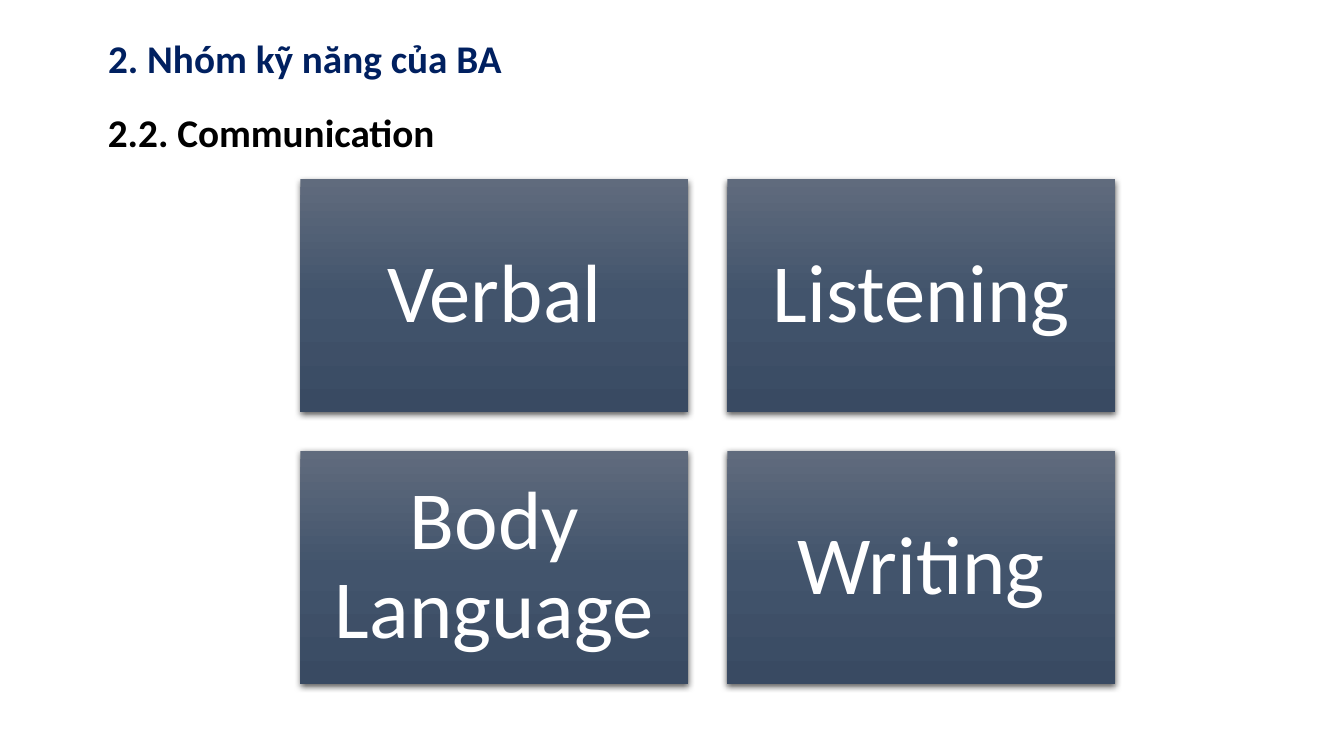
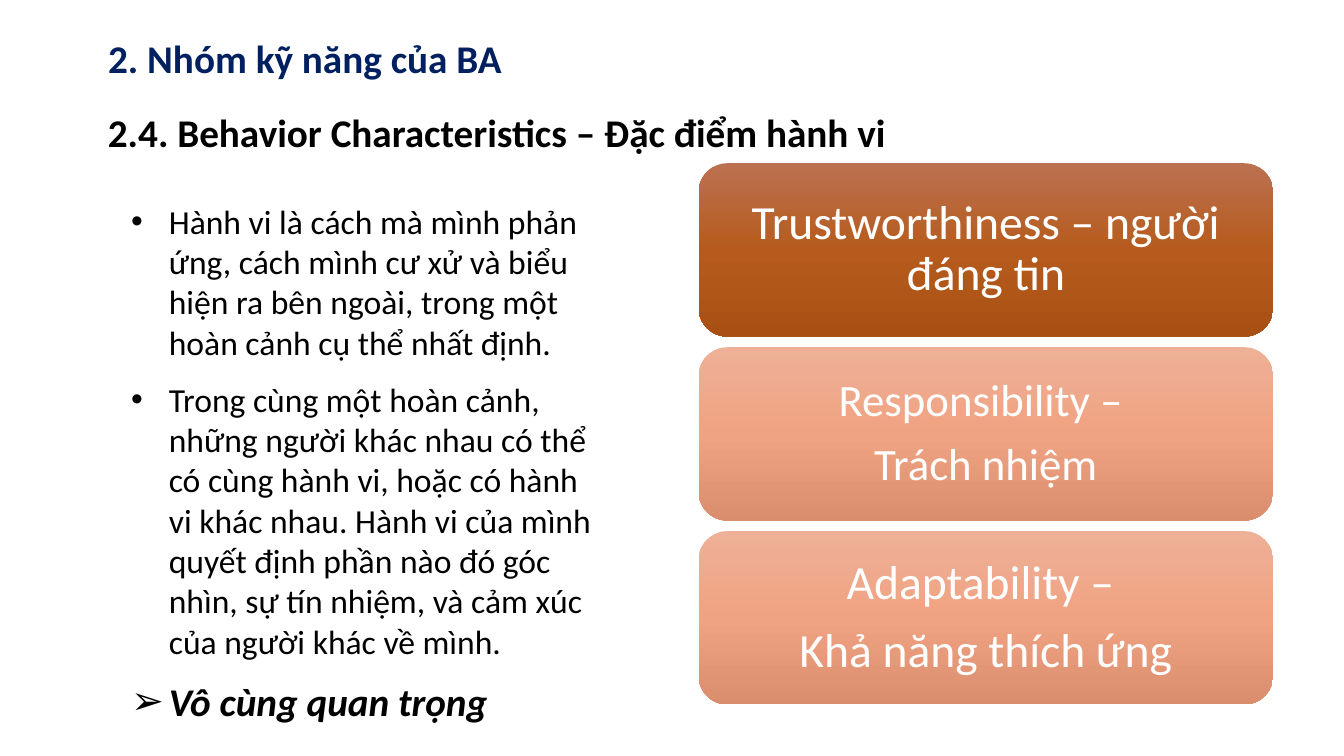
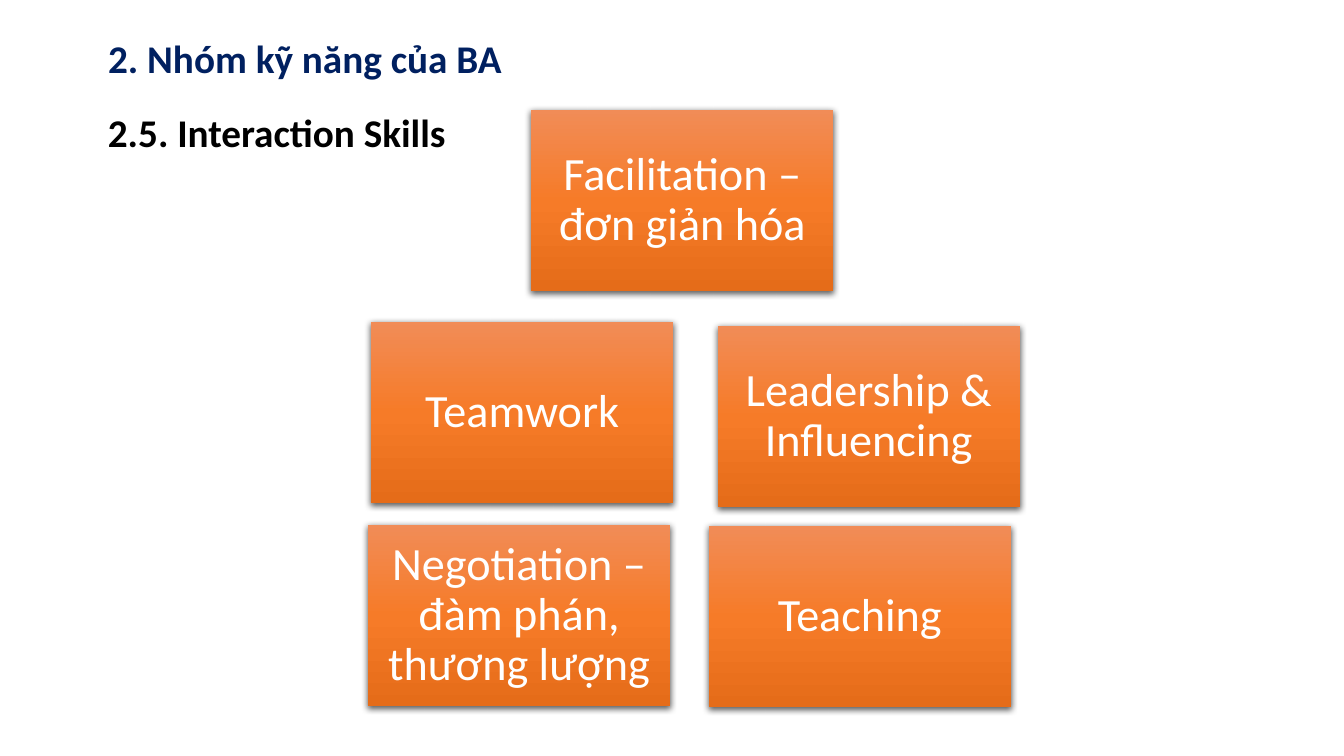
"""Build three slides on the skill groups of a business analyst."""
from copy import deepcopy
from dataclasses import dataclass

from lxml import etree
from pptx import Presentation
from pptx.dml.color import RGBColor
from pptx.enum.shapes import MSO_SHAPE
from pptx.enum.text import MSO_ANCHOR, MSO_AUTO_SIZE, PP_ALIGN
from pptx.oxml.ns import qn
from pptx.presentation import Presentation as Deck
from pptx.slide import Slide
from pptx.util import Pt

RECTANGLE = MSO_SHAPE.RECTANGLE
ROUNDED = MSO_SHAPE.ROUNDED_RECTANGLE
TOP, MIDDLE = MSO_ANCHOR.TOP, MSO_ANCHOR.MIDDLE
LEFT, CENTER = PP_ALIGN.LEFT, PP_ALIGN.CENTER
GROW = MSO_AUTO_SIZE.SHAPE_TO_FIT_TEXT
LIST_LAYOUT, TITLE_LAYOUT = 1, 5


@dataclass(frozen=True)
class Theme:
    """Fonts, type sizes, colours and gradients of the deck."""
    font: str = "Calibri"
    heading_size: float = 28
    list_size: float = 24
    navy: str = "002060"
    black: str = "000000"
    white: str = "FFFFFF"
    slate: tuple[str, ...] = ("606B7D", "42546C", "394A62")
    rust: tuple[str, ...] = ("BB7150", "B65B1D", "A85014")
    peach: tuple[str, ...] = ("EEB097", "F0A382", "DB8E6E")
    orange: tuple[str, ...] = ("F18C57", "F67B28", "E56C19")


THEME = Theme()


@dataclass(frozen=True)
class Frame:
    """A rectangle in points."""
    left: float
    top: float
    width: float
    height: float


@dataclass(frozen=True)
class Card:
    """A gradient card with centred lines of text."""
    lines: tuple[str, ...]
    frame: Frame
    colours: tuple[str, ...]
    size: float
    inset: float = 10
    outline: MSO_SHAPE = RECTANGLE
    raised: bool = True


@dataclass(frozen=True)
class Bullet:
    """One list item with its marker."""
    text: str
    marker: str = "•"
    size: float = THEME.list_size
    strong: bool = False


TITLE_FRAME = Frame(70, 21, 463, 41)
SUBTITLE_FRAME = Frame(70, 73.5, 726.5, 41)
LIST_FRAME = Frame(86.4, 139.7, 348.5, 420.5)

BEHAVIOURS = (
    Bullet("Hành vi là cách mà mình phản ứng, cách mình cư xử và biểu hiện ra "
           "bên ngoài, trong một hoàn cảnh cụ thể nhất định."),
    Bullet("Trong cùng một hoàn cảnh, những người khác nhau có thể có cùng "
           "hành vi, hoặc có hành vi khác nhau. Hành vi của mình quyết định "
           "phần nào đó góc nhìn, sự tín nhiệm, và cảm xúc của người khác về mình."),
    Bullet("Vô cùng quan trọng", "➢", THEME.heading_size, True),
)


def place(shape, frame: Frame) -> None:
    """Move and size a shape."""
    shape.left, shape.top = Pt(frame.left), Pt(frame.top)
    shape.width, shape.height = Pt(frame.width), Pt(frame.height)


def add_span(para, text: str, size: float, colour: str,
             bold: bool = False, italic: bool = False) -> None:
    """Add one formatted run to a paragraph."""
    span = para.add_run()
    span.text = text
    font = span.font
    font.name, font.size = THEME.font, Pt(size)
    font.bold, font.italic = bold, italic
    font.color.rgb = RGBColor.from_string(colour)


def paragraphs(box, count: int) -> list:
    """Return the given number of paragraphs of an empty text frame."""
    return [box.paragraphs[0]] + [box.add_paragraph() for _ in range(count - 1)]


def write_heading(shape, text: str, frame: Frame, colour: str) -> None:
    """Place a bold heading line."""
    place(shape, frame)
    box = shape.text_frame
    box.word_wrap, box.auto_size, box.vertical_anchor = True, GROW, TOP
    para = box.paragraphs[0]
    para.alignment = LEFT
    add_span(para, text, THEME.heading_size, colour, bold=True)


def start_page(deck: Deck, subtitle: str, layout: int = TITLE_LAYOUT) -> Slide:
    """Add a slide with the shared title and its own subtitle."""
    page = deck.slides.add_slide(deck.slide_layouts[layout])
    write_heading(page.shapes.title, "2. Nhóm kỹ năng của BA", TITLE_FRAME, THEME.navy)
    write_heading(page.shapes.add_textbox(0, 0, 0, 0), subtitle, SUBTITLE_FRAME, THEME.black)
    return page


def fill_gradient(shape, colours: tuple[str, ...]) -> None:
    """Fill a shape from top to bottom with evenly spaced colours."""
    fill = shape.fill
    fill.gradient()
    fill.gradient_angle = 270
    stop_list = shape.element.find(".//" + qn("a:gsLst"))
    while len(stop_list) < len(colours):
        stop_list.append(deepcopy(stop_list[-1]))
    for index, (stop, colour) in enumerate(zip(fill.gradient_stops, colours)):
        stop.position = index / (len(colours) - 1)
        stop.color.rgb = RGBColor.from_string(colour)


def add_shadow(shape) -> None:
    """Give a shape a soft shadow below."""
    effects = shape.element.find(".//" + qn("a:effectLst"))
    shadow = etree.SubElement(effects, qn("a:outerShdw"), blurRad=str(Pt(4.5)),
                              dist=str(Pt(1.5)), dir="5400000", algn="ctr", rotWithShape="0")
    colour = etree.SubElement(shadow, qn("a:srgbClr"), val=THEME.black)
    etree.SubElement(colour, qn("a:alpha"), val="63000")


def draw_card(page: Slide, card: Card) -> None:
    """Draw one card with its text."""
    shape = page.shapes.add_shape(card.outline, 0, 0, 0, 0)
    place(shape, card.frame)
    fill_gradient(shape, card.colours)
    shape.line.fill.background()
    shape.shadow.inherit = False
    if card.raised:
        add_shadow(shape)
    box = shape.text_frame
    box.word_wrap, box.vertical_anchor = True, MIDDLE
    box.margin_left = box.margin_right = Pt(card.inset)
    box.margin_top = box.margin_bottom = Pt(card.inset)
    for para, line in zip(paragraphs(box, len(card.lines)), card.lines):
        para.alignment, para.line_spacing = CENTER, 0.9
        para.space_after = Pt(0.35 * card.size)
        add_span(para, line, card.size, THEME.white)


def write_list(shape, bullets: tuple[Bullet, ...]) -> None:
    """Fill the body placeholder with bullets."""
    place(shape, LIST_FRAME)
    box = shape.text_frame
    box.word_wrap, box.auto_size = True, GROW
    for para, bullet in zip(paragraphs(box, len(bullets)), bullets):
        para.space_before = para.space_after = Pt(6)
        add_span(para, bullet.text, bullet.size, THEME.black, bullet.strong, bullet.strong)
        properties = para._p.get_or_add_pPr()
        properties.set("marL", str(Pt(27)))
        properties.set("indent", str(Pt(-27)))
        etree.SubElement(properties, qn("a:buFont"), typeface="Arial")
        etree.SubElement(properties, qn("a:buChar"), char=bullet.marker)


def build_communication(deck: Deck) -> None:
    """Build the two by two grid of communication skills."""
    page = start_page(deck, "2.2. Communication")
    width, height, gap = 277.2, 166.3, 27.7
    for index, skill in enumerate(("Verbal", "Listening", "Body Language", "Writing")):
        row, column = divmod(index, 2)
        frame = Frame(214.6 + column * (width + gap), 128.2 + row * (height + gap),
                      width, height)
        draw_card(page, Card((skill,), frame, THEME.slate, 59, inset=18))


def build_behaviour(deck: Deck) -> None:
    """Build the list and the stack of behaviour characteristics."""
    page = start_page(deck, "2.4. Behavior Characteristics – Đặc điểm hành vi", LIST_LAYOUT)
    write_list(page.placeholders[1], BEHAVIOURS)
    traits = (
        (("Trustworthiness – người đáng tin",), THEME.rust, 34),
        (("Responsibility – ", "Trách nhiệm"), THEME.peach, 32),
        (("Adaptability – ", "Khả năng thích ứng"), THEME.peach, 34),
    )
    for index, (lines, colours, size) in enumerate(traits):
        frame = Frame(499, 116.6 + index * 131.4, 410.4, 123.8)
        draw_card(page, Card(lines, frame, colours, size, outline=ROUNDED, raised=False))


def build_interaction(deck: Deck) -> None:
    """Build the cluster of interaction skills."""
    page = start_page(deck, "2.5. Interaction Skills")
    skills = (
        ("Facilitation – đơn giản hóa", 379.4, 78.5),
        ("Leadership & Influencing", 512.6, 232.6),
        ("Teamwork", 265, 229.7),
        ("Negotiation – đàm phán, thương lượng", 262.8, 374.7),
        ("Teaching", 506.2, 375.8),
    )
    for skill, left, top in skills:
        draw_card(page, Card((skill,), Frame(left, top, 216, 129.6), THEME.orange, 33))


def main() -> None:
    """Build and save the deck."""
    deck = Presentation()
    deck.slide_width, deck.slide_height = Pt(960), Pt(540)
    build_communication(deck)
    build_behaviour(deck)
    build_interaction(deck)
    deck.save("out.pptx")


if __name__ == "__main__":
    main()
